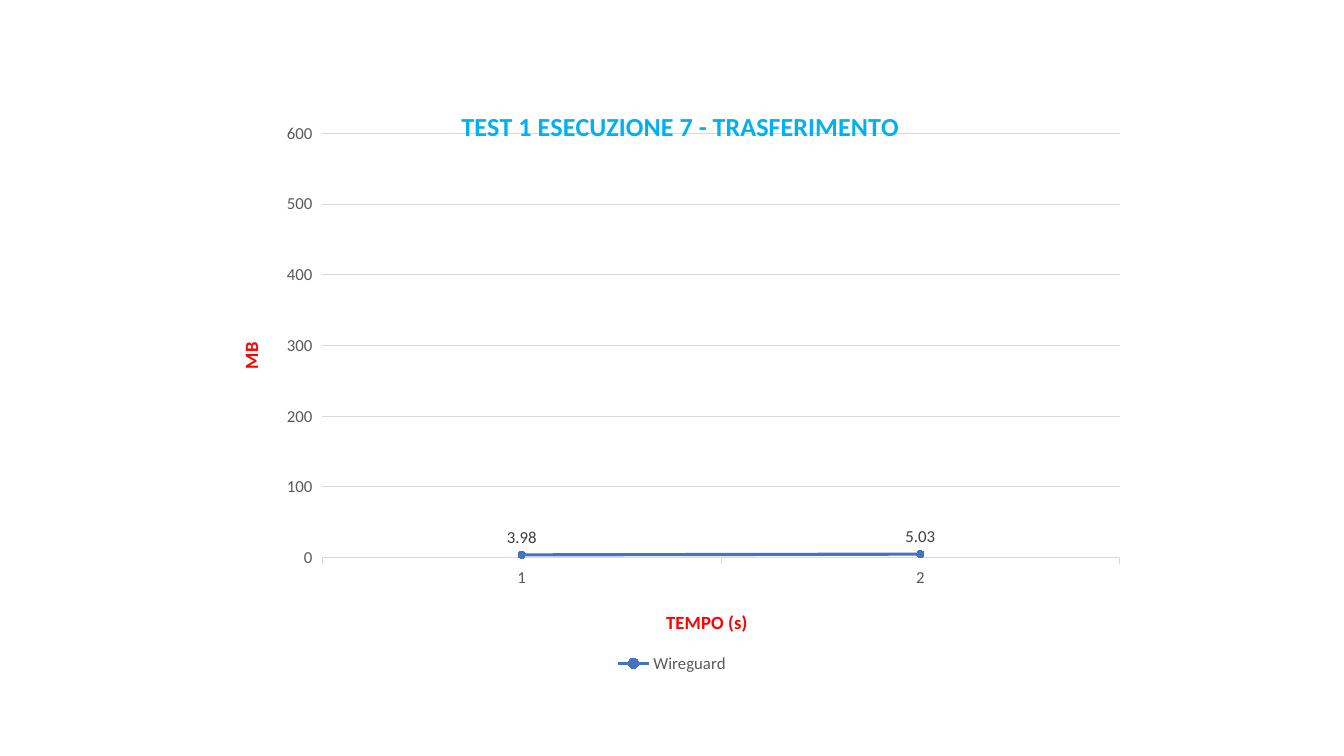
from lxml import etree
from pptx import Presentation
from pptx import util as u
from pptx.chart.data import CategoryChartData
from pptx.dml.color import RGBColor
from pptx.enum import chart as ch
from pptx.oxml import parse_xml
from pptx.oxml.ns import nsdecls, qn

BLUE = RGBColor(0x44, 0x72, 0xC4)
CYAN = RGBColor(0x00, 0xB0, 0xF0)
RED = RGBColor(0xFF, 0x00, 0x00)
GRAY = RGBColor(0x59, 0x59, 0x59)
DARK = RGBColor(0x40, 0x40, 0x40)
GRID = RGBColor(0xD9, 0xD9, 0xD9)
FONT = "Calibri"


def style(font, size, color, bold=False):
    font.name, font.size, font.bold = FONT, u.Pt(size), bold
    font.color.rgb = color


def set_title(title, words, size, color):
    tf = title.text_frame
    tf.text = words
    style(tf.paragraphs[0].runs[0].font, size, color, True)


def set_layout(parent, after, inner=False, **fractions):
    """Place a chart part by fractions of the chart, right after a sibling tag."""
    for old in parent.findall(qn("c:layout")):
        parent.remove(old)
    layout = parse_xml(f"<c:layout {nsdecls('c')}><c:manualLayout/></c:layout>")
    manual = layout[0]
    values = {"layoutTarget": "inner"} if inner else {}
    values.update(xMode="edge", yMode="edge", **fractions)
    for tag, value in values.items():
        etree.SubElement(manual, qn(f"c:{tag}")).set("val", str(value))
    if after is None:
        parent.insert(0, layout)
    else:
        parent.find(qn(after)).addnext(layout)


def style_axis(axis, words):
    set_title(axis.axis_title, words, 13.3, RED)
    style(axis.tick_labels.font, 12, GRAY)
    axis.major_tick_mark = ch.XL_TICK_MARK.OUTSIDE
    axis.minor_tick_mark = ch.XL_TICK_MARK.NONE


def style_series(series):
    series.smooth = False
    line = series.format.line
    line.color.rgb, line.width = BLUE, u.Pt(2.25)
    marker = series.marker
    marker.style, marker.size = ch.XL_MARKER_STYLE.CIRCLE, 5
    marker.format.fill.solid()
    marker.format.fill.fore_color.rgb = BLUE
    marker.format.line.color.rgb = BLUE
    labels = series.data_labels
    labels.show_value = True
    labels.position = ch.XL_LABEL_POSITION.ABOVE
    style(labels.font, 12, DARK)


def add_transfer_chart(s, left, top, width, height):
    data = CategoryChartData()
    data.categories = ["1", "2"]
    data.add_series("Wireguard", (3.98, 5.03))
    chart = s.shapes.add_chart(ch.XL_CHART_TYPE.LINE_MARKERS,
                               left, top, width, height, data).chart
    chart.font.name, chart.font.size = FONT, u.Pt(10)
    set_title(chart.chart_title, "TEST 1 ESECUZIONE 7 - TRASFERIMENTO", 18.6, CYAN)
    chart.chart_title.include_in_layout = False
    chart.plots[0].vary_by_categories = False

    time, size = chart.category_axis, chart.value_axis
    style_axis(time, "TEMPO (s)")
    style_axis(size, "MB")
    size.minimum_scale, size.maximum_scale, size.major_unit = 0, 600, 100
    size.format.line.fill.background()
    for line in (time.format.line, size.major_gridlines.format.line):
        line.color.rgb, line.width = GRID, u.Pt(0.75)

    chart.has_legend = True
    chart.legend.position = ch.XL_LEGEND_POSITION.BOTTOM
    chart.legend.include_in_layout = False
    style(chart.legend.font, 12, GRAY)
    style_series(chart.plots[0].series[0])

    plot_area = chart.plots[0]._element.getparent()
    set_layout(plot_area, None, True, x=0.11, y=0.09, w=0.89, h=0.71)
    set_layout(chart.chart_title._element, "c:tx", x=0.26, y=0.04)
    set_layout(time.axis_title._element, "c:tx", x=0.49, y=0.88)


def main():
    prs = Presentation()
    prs.slide_width, prs.slide_height = u.Inches(13.33), u.Inches(7.5)
    s = prs.slides.add_slide(prs.slide_layouts[6])
    add_transfer_chart(s, u.Inches(2.22), u.Inches(0.79),
                       u.Inches(8.89), u.Inches(5.93))
    prs.save("out.pptx")


if __name__ == "__main__":
    main()
